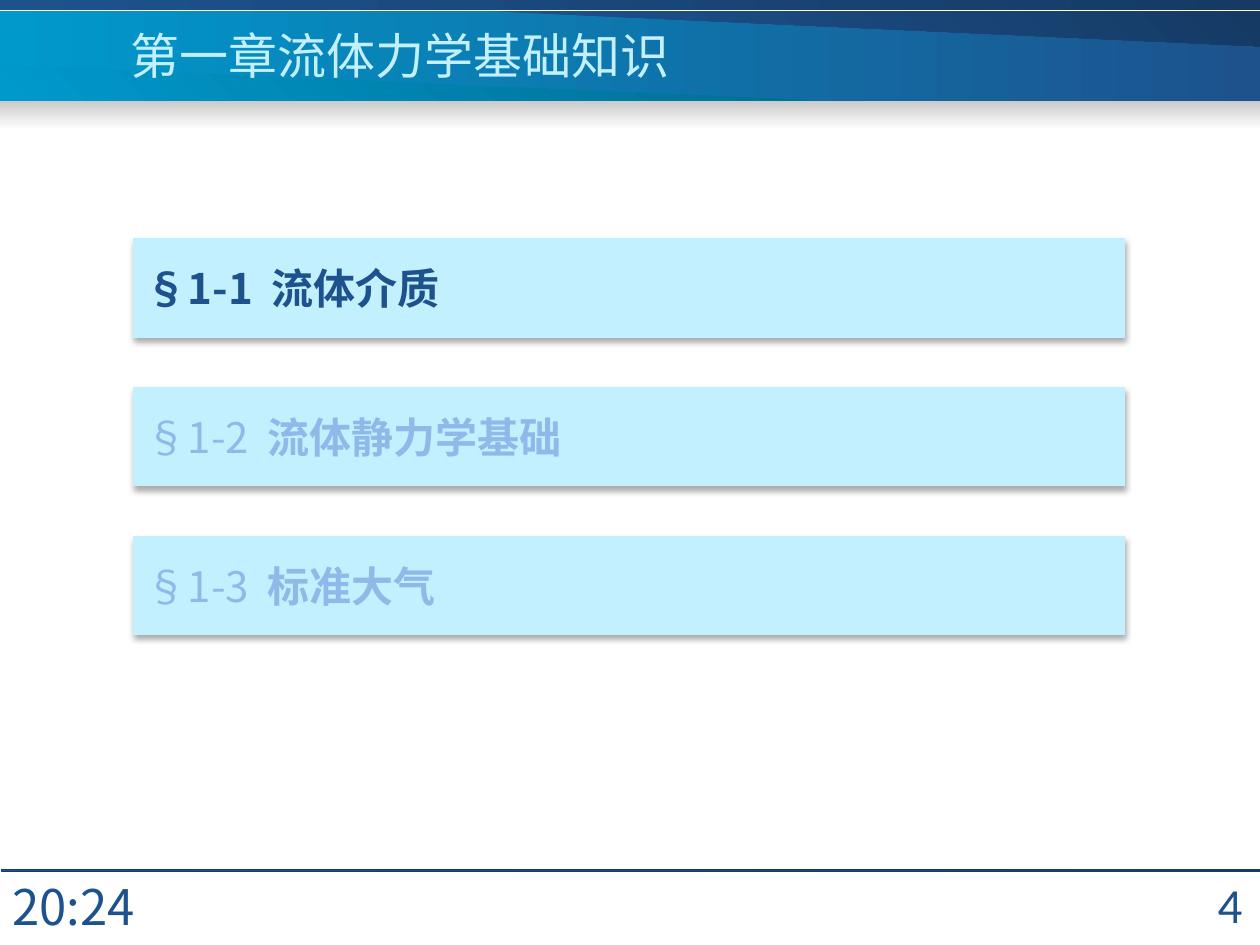
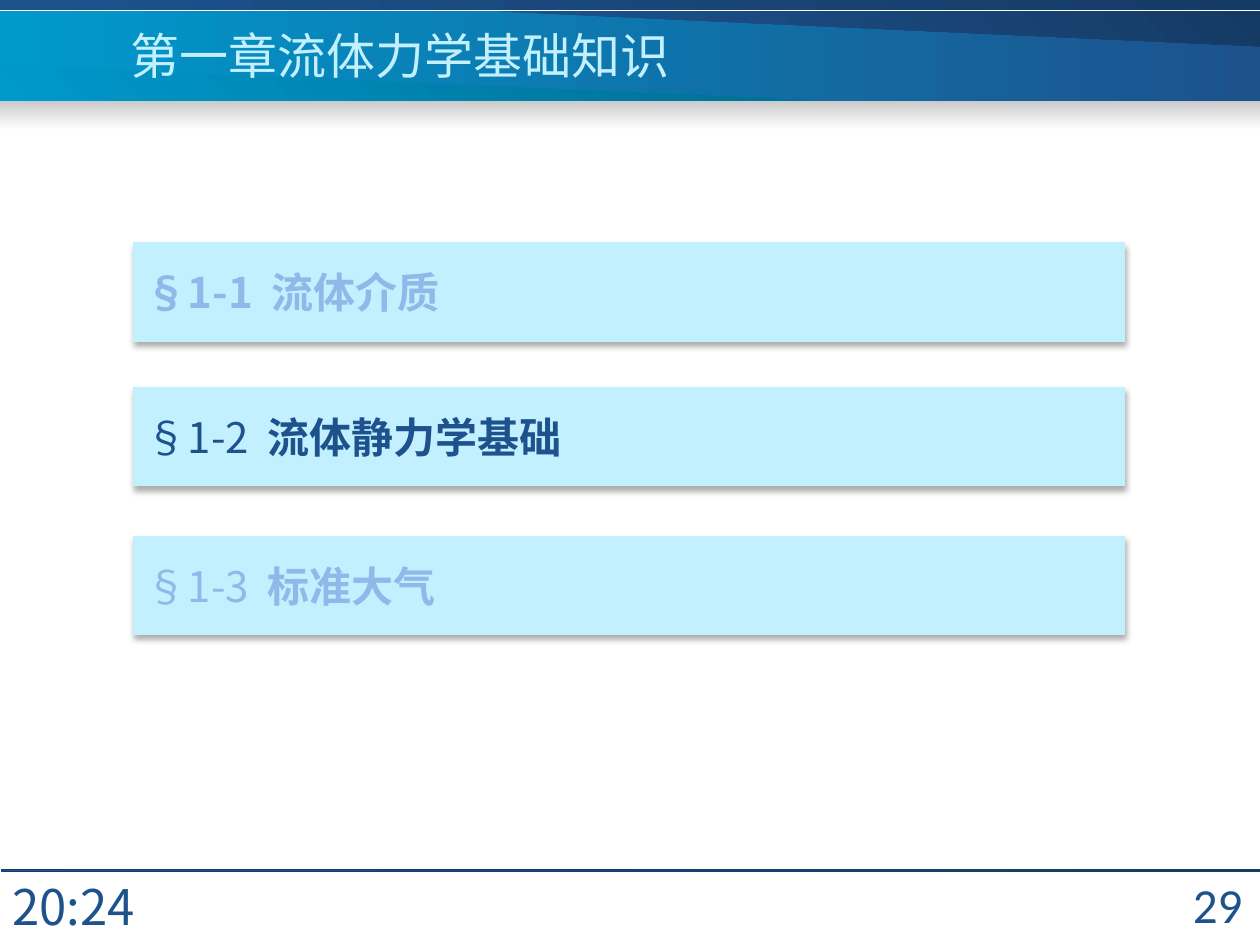
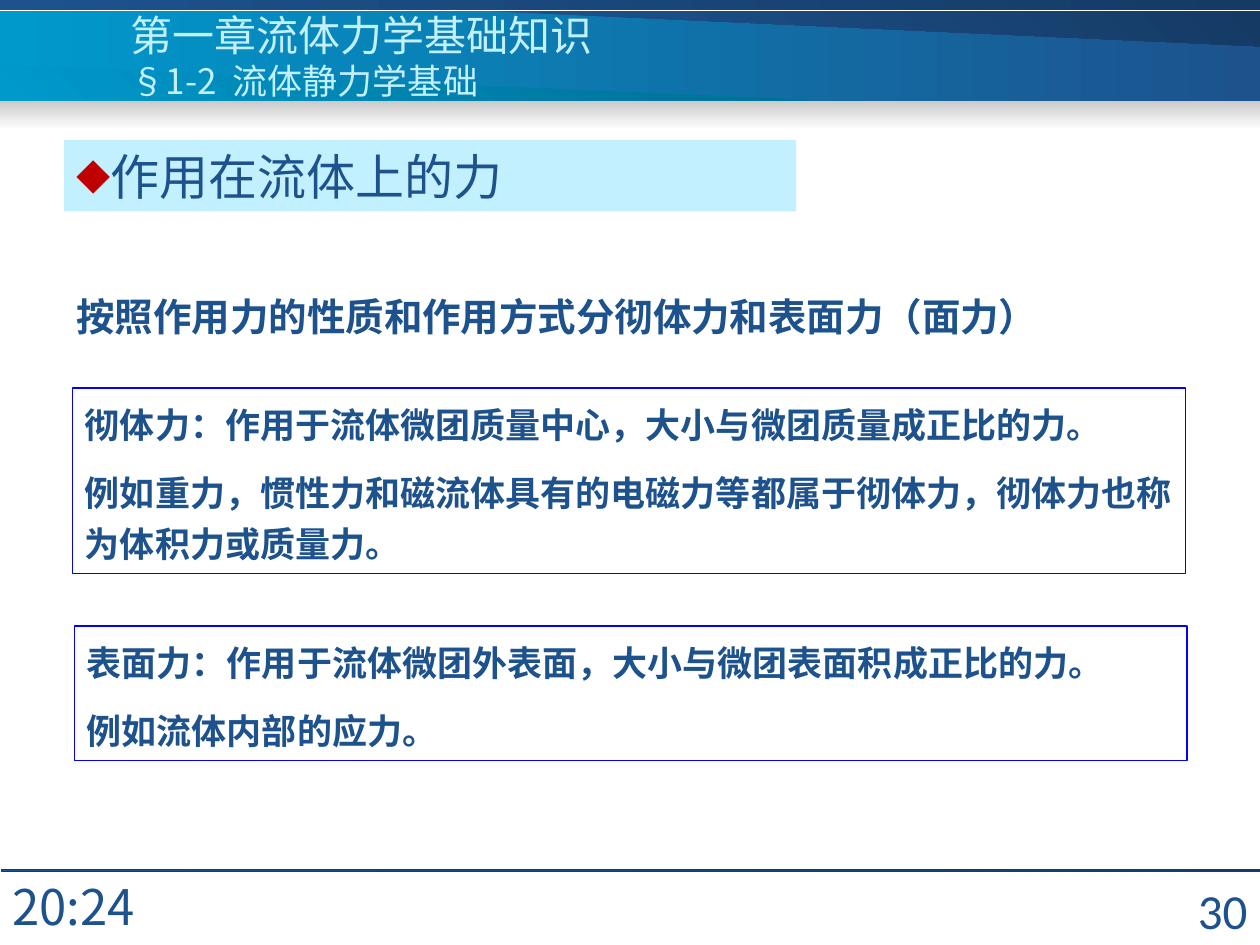
from dataclasses import dataclass

from lxml.etree import SubElement
from pptx import Presentation
from pptx.dml.color import RGBColor
from pptx.enum.shapes import MSO_SHAPE
from pptx.enum.text import MSO_ANCHOR, PP_ALIGN
from pptx.oxml.ns import qn
from pptx.util import Pt


@dataclass(frozen=True)
class Theme:
    # Colours
    navy: str = "1D528D"
    deep: str = "153B65"
    edge: str = "163D6A"
    cyan: str = "0099CC"
    teal: str = "006D92"
    pale: str = "C2F0FF"
    faded: str = "8EB9E8"
    gray: str = "CACACA"
    white: str = "FFFFFF"
    blue: str = "0000FF"
    red: str = "C00000"
    # Fonts
    sans: str = "Noto Sans CJK SC"
    head: str = "Noto Sans CJK JP"
    serif: str = "Times New Roman"
    digit: str = "Calibri"
    # Type sizes
    big: int = 28
    mid: int = 24
    lead: int = 22
    body: int = 20


T = Theme()
WIDE, HIGH = 720, 540
CHAPTER = "第一章流体力学基础知识"
SECTS = [
    ("§1-1", "流体介质", True, T.sans),
    ("§1-2", "流体静力学基础", False, T.serif),
    ("§1-3", "标准大气", False, T.sans),
]


# Text helpers
def style(font, size, color, face=T.sans, bold=False):
    font.size, font.bold, font.name = Pt(size), bold, face
    font.color.rgb = RGBColor.from_string(color)
    SubElement(font._rPr, qn("a:ea")).set("typeface", face)


def add_run(par, text):
    run = par.add_run()
    run.text = text
    return run


def add_gap(par, size):
    """Add one space, widened in step with the type size."""
    run = add_run(par, " ")
    run.font._rPr.set("spc", str(round(size * 22.5)))


def write(frame, lines, size, color, face=T.sans, bold=False, pitch=None):
    """Fill a frame; pitch is the line height as a multiple of size."""
    frame.word_wrap = True
    for i, text in enumerate(lines):
        par = frame.add_paragraph() if i else frame.paragraphs[0]
        par.alignment = PP_ALIGN.LEFT
        style(par.font, size, color, face, bold)
        if pitch:
            par.line_spacing = Pt(round(size * pitch))
        if i:
            par.space_before = Pt(size / 2)
        add_run(par, text)
    return frame.paragraphs[0]


def add_text(slide, area, lines, size, color, anchor=MSO_ANCHOR.TOP, **look):
    frame = slide.shapes.add_textbox(*map(Pt, area)).text_frame
    frame.vertical_anchor = anchor
    return frame, write(frame, lines, size, color, **look)


# Shape helpers
def add_box(slide, area, fill=None, line=None, kind=MSO_SHAPE.RECTANGLE):
    box = slide.shapes.add_shape(kind, *map(Pt, area))
    box.shadow.inherit = False
    box.text_frame.vertical_anchor = MSO_ANCHOR.TOP
    if fill:
        box.fill.solid()
        box.fill.fore_color.rgb = RGBColor.from_string(fill)
    else:
        box.fill.background()
    if line:
        box.line.color.rgb = RGBColor.from_string(line)
        box.line.width = Pt(0.75)
    else:
        box.line.fill.background()
    return box


def shade(shape, start, end, angle=0):
    shape.fill.gradient()
    shape.fill.gradient_angle = -angle % 360
    for stop, color in zip(shape.fill.gradient_stops, (start, end)):
        stop.color.rgb = RGBColor.from_string(color)


def add_wedge(slide, points, start, end):
    (x, y), *rest = [(Pt(x), Pt(y)) for x, y in points]
    path = slide.shapes.build_freeform(x, y)
    path.add_line_segments(rest)
    wedge = path.convert_to_shape()
    wedge.shadow.inherit = False
    wedge.line.fill.background()
    shade(wedge, start, end, 315)


def drop_shadow(shape):
    effects = shape._element.spPr.find(qn("a:effectLst"))
    outer = SubElement(effects, qn("a:outerShdw"), blurRad=str(Pt(3.5)),
                       dist=str(Pt(2.2)), dir="5400000", algn="t", rotWithShape="0")
    tint = SubElement(outer, qn("a:srgbClr"), val="000000")
    SubElement(tint, qn("a:alpha"), val="32000")


def add_bullet(par, sign, color, scale, indent):
    props = par._p.get_or_add_pPr()
    props.set("marL", str(Pt(indent)))
    props.set("indent", str(-Pt(indent)))
    marks = [
        ("a:buClr", {}),
        ("a:buSzPct", {"val": str(scale * 1000)}),
        ("a:buFont", {"typeface": T.sans}),
        ("a:buChar", {"char": sign}),
    ]
    last = props.find(qn("a:defRPr"))
    for tag, attrs in marks:
        mark = SubElement(props, qn(tag), attrs)
        if tag == "a:buClr":
            SubElement(mark, qn("a:srgbClr"), val=color)
        last.addprevious(mark)


# Shared frame of every slide
def add_frame(slide, page, spot=(643.5, 489.5, 73.5, 54)):
    shade(add_box(slide, (0, 6.5, 720.5, 51)), T.cyan, T.navy)
    add_wedge(slide, [(707, 6.5), (283, 6.5), (720.5, 26.5), (720.5, 6.5)],
              T.navy, T.deep)
    add_wedge(slide, [(13.5, 57.2), (463, 57.2), (0, 37.2), (0, 57.2)],
              T.cyan, T.teal)
    shade(add_box(slide, (0, 57.5, WIDE, 17)), T.gray, T.white, 90)
    shade(add_box(slide, (0, 0, WIDE, 5.8)), T.navy, T.deep)
    shade(add_box(slide, (0.7, 496.8, WIDE, 1.2), line=T.edge), T.navy, T.deep)
    add_text(slide, (0, 496.8, 96.5, 41), ["20:24"], T.big, T.navy, pitch=1.2)
    _, par = add_text(slide, spot, [str(page)], T.big, T.navy,
                      MSO_ANCHOR.MIDDLE, face=T.digit)
    par.alignment = PP_ALIGN.RIGHT


def add_title(slide, sect=None):
    size, pitch = (T.mid, 1.2) if sect else (T.big, None)
    frame, _ = add_text(slide, (67.7, 3.6, 559.5, 56), [CHAPTER], size, T.pale,
                        MSO_ANCHOR.MIDDLE, face=T.head, pitch=pitch)
    if sect:
        par = frame.add_paragraph()
        style(par.font, T.body, T.pale, T.head)
        par.line_spacing = Pt(T.body * pitch)
        add_run(par, sect[0])
        add_gap(par, T.body)
        add_run(par, sect[1])


# Outline slides: one card per section, the current one dark
def add_card(slide, top, sect, color):
    mark, name, bold, face = sect
    card = add_box(slide, (76.3, top, 566.6, 56.9), T.pale,
                   kind=MSO_SHAPE.ACTION_BUTTON_CUSTOM)
    drop_shadow(card)
    frame = card.text_frame
    frame.vertical_anchor = MSO_ANCHOR.MIDDLE
    par = write(frame, [mark], T.mid, color, bold=bold)
    add_gap(par, T.mid)
    run = add_run(par, name)
    run.font.bold, run.font.name = True, face


def add_outline(slide, page, now, first=136):
    add_frame(slide, page)
    tops = [first, 221, 306]
    for i, (top, sect) in enumerate(zip(tops, SECTS)):
        add_card(slide, top, sect, T.navy if i == now else T.faded)
    add_title(slide)


# Content slide: forces acting on a fluid
def add_forces(slide, page):
    add_frame(slide, page, (652.3, 500.4, 67.7, 39.6))
    add_text(slide, (36.7, 158.4, 635.8, 35.3),
             ["按照作用力的性质和作用方式分彻体力和表面力（面力）"],
             T.lead, T.navy, bold=True, pitch=1.45)
    topic = add_box(slide, (36.7, 79.9, 418.3, 41), T.pale)
    par = write(topic.text_frame, ["作用在流体上的力"], T.big, T.navy,
                T.head, pitch=1.2)
    add_bullet(par, "◆", T.red, 70, 19)
    add_title(slide, SECTS[1])
    notes = [
        ((41.5, 221.8, 635.8, 105.8),
         ["彻体力：作用于流体微团质量中心，大小与微团质量成正比的力。",
          "例如重力，惯性力和磁流体具有的电磁力等都属于彻体力，彻体力也称为体积力或质量力。"]),
        ((42.5, 357.8, 635.8, 77),
         ["表面力：作用于流体微团外表面，大小与微团表面积成正比的力。",
          "例如流体内部的应力。"]),
    ]
    for area, lines in notes:
        box = add_box(slide, area, line=T.blue)
        write(box.text_frame, lines, T.body, T.navy, bold=True, pitch=1.45)


def main():
    deck = Presentation()
    deck.slide_width, deck.slide_height = Pt(WIDE), Pt(HIGH)
    blank = deck.slide_layouts[6]
    one, two, three = [deck.slides.add_slide(blank) for _ in range(3)]
    add_outline(one, 4, now=0)
    add_outline(two, 29, now=1, first=138.5)
    add_forces(three, 30)
    deck.save("out.pptx")


if __name__ == "__main__":
    main()
